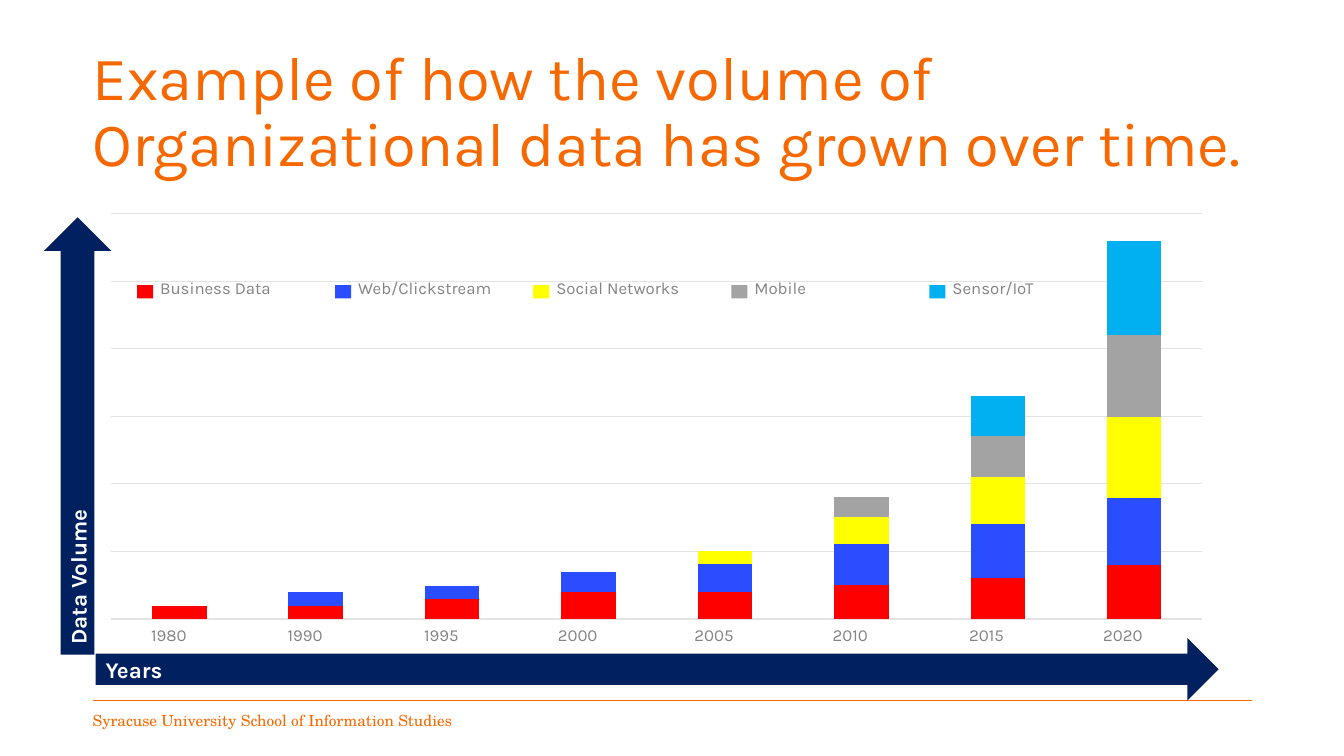
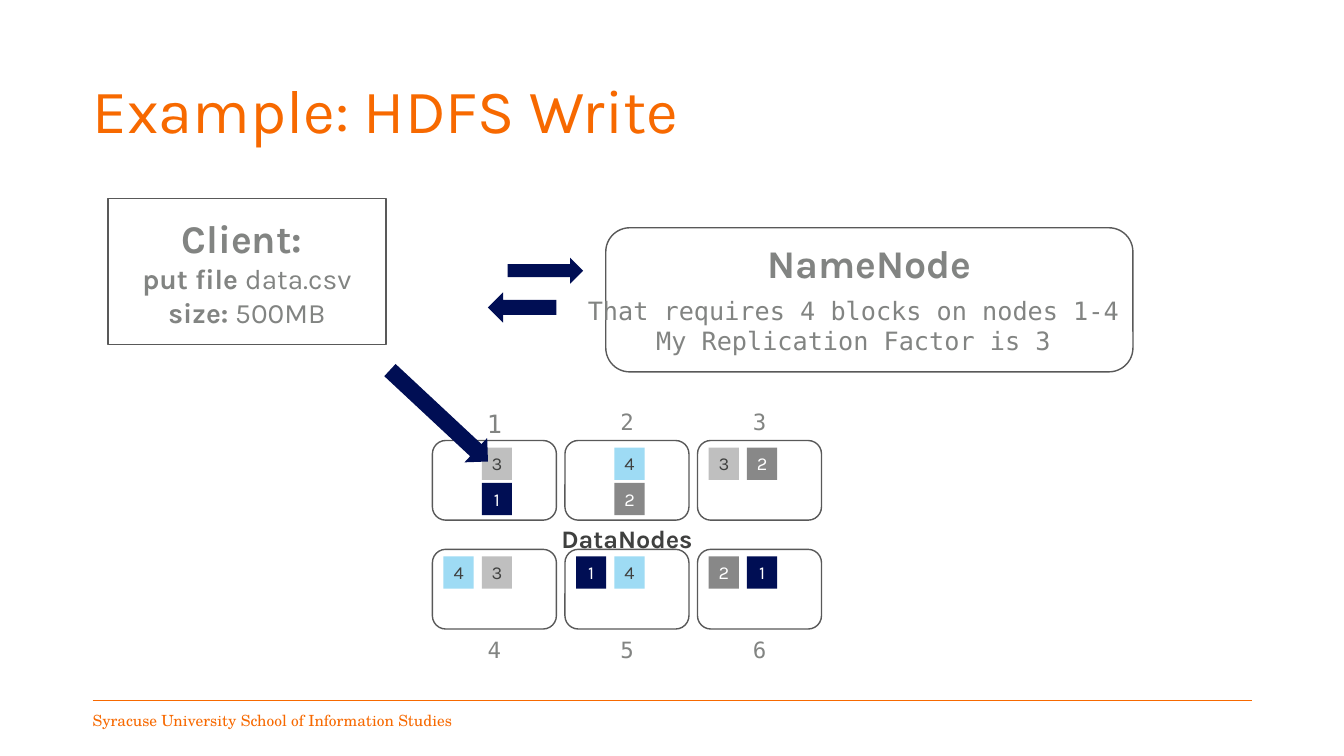
import pptx
import pptx.chart.data
import pptx.dml.color
import pptx.enum.chart
import pptx.enum.shapes
import pptx.enum.text
import pptx.oxml
import pptx.oxml.ns
import pptx.util

CELL = pptx.util.Inches(0.1)
KIND = pptx.enum.shapes.MSO_SHAPE
SIDE = pptx.enum.text.PP_ALIGN
HOLD = pptx.enum.text.MSO_ANCHOR

HUES = {
    "orange": "F76900", "white": "FFFFFF", "gray": "828482", "dark": "3F403F",
    "edge": "595959", "grid": "E2E3E2", "navy": "002060", "ink": "000E54",
    "red": "FF0000", "blue": "2A4EFF", "yellow": "FFFF00", "ash": "A3A3A3",
    "cyan": "00B0F0", "silver": "BFBFBF", "steel": "888888", "sky": "9EDBF4",
}


def grid(*cells):
    return [round(cell * CELL) for cell in cells]


def hue(name):
    return pptx.dml.color.RGBColor.from_string(HUES[name])


class Deck:
    sans, mono, serif = "Karla", "DejaVu Sans Mono", "TeX Gyre Schola"

    def __init__(self):
        self.show = pptx.Presentation()
        self.show.slide_width, self.show.slide_height = grid(133.33, 75)

    def page(self, title):
        self.slide = self.show.slides.add_slide(self.show.slide_layouts[5])
        self.shapes = self.slide.shapes
        self.rule(9.2, 124.2, 69.5, "orange")
        self.text(9.2, 69.5, 40, 4, "Syracuse University School of Information Studies",
                  11, "orange", self.serif, hold=HOLD.MIDDLE, pad=0)
        head = self.shapes.title
        head.left, head.top, head.width, head.height = grid(9.2, 4, 115, 14.5)
        self.label(head.text_frame, title, 44, "orange", hold=HOLD.MIDDLE, pad=0)
        head.text_frame.paragraphs[0].line_spacing = 0.9

    def style(self, font, size, color, face=None, bold=False):
        font.name, font.size, font.bold = face or self.sans, pptx.util.Pt(size), bold
        font.color.rgb = hue(color)

    def label(self, frame, text, size, color, face=None, bold=False,
              side=SIDE.LEFT, hold=HOLD.TOP, pad=1, wrap=True):
        frame.word_wrap = wrap
        frame.auto_size = pptx.enum.text.MSO_AUTO_SIZE.NONE
        frame.vertical_anchor = hold
        frame.margin_left = frame.margin_right = grid(pad)[0]
        frame.margin_top = frame.margin_bottom = grid(0.5)[0]
        frame.text = text
        for para in frame.paragraphs:
            para.alignment = side
            self.style(para.font, size, color, face, bold)

    def text(self, x, y, wide, high, words, size, color="gray", face=None, **look):
        box = self.shapes.add_textbox(*grid(x, y, wide, high))
        self.label(box.text_frame, words, size, color, face, **look)

    def shape(self, kind, x, y, wide, high, fill, edge=None, turn=0):
        form = self.shapes.add_shape(kind, *grid(x, y, wide, high))
        form.shadow.inherit = False
        form.rotation = turn
        form.fill.solid()
        form.fill.fore_color.rgb = hue(fill)
        if edge:
            form.line.color.rgb = hue(edge)
            form.line.width = pptx.util.Pt(1)
        else:
            form.line.fill.background()
        return form

    def rule(self, left, right, y, color):
        line = self.shapes.add_connector(
            pptx.enum.shapes.MSO_CONNECTOR.STRAIGHT, *grid(left, y, right, y))
        line.line.color.rgb = hue(color)
        line.line.width = pptx.util.Pt(0.5)
        props = line._element.spPr
        props.append(props.makeelement(pptx.oxml.ns.qn("a:effectLst"), {}))

    def axis(self, x, y, wide, high, title, turn=0):
        arrow = self.shape(KIND.RIGHT_ARROW, x, y, wide, high, "navy", turn=turn)
        self.label(arrow.text_frame, title, 16, "white", bold=True, hold=HOLD.MIDDLE)

    def block(self, x, y, number, fill, color):
        form = self.shape(KIND.RECTANGLE, x, y, 3, 3.2, fill)
        self.label(form.text_frame, number, 13, color, side=SIDE.CENTER, hold=HOLD.MIDDLE)

    def pairs(self, frame, rows, size, color):
        for key, value in rows:
            para = frame.add_paragraph()
            para.alignment = SIDE.CENTER
            self.style(para.font, size, color)
            for words, bold in ((key, True), (value, False)):
                run = para.add_run()
                run.text, run.font.bold = words, bold

    def chart(self, x, y, wide, high, cats, series, top, step, plot):
        data = pptx.chart.data.CategoryChartData()
        data.categories = cats
        for name, _, values in series:
            data.add_series(name, values)
        chart = self.shapes.add_chart(
            pptx.enum.chart.XL_CHART_TYPE.COLUMN_STACKED,
            *grid(x, y, wide, high), data).chart
        chart.has_legend = chart.has_title = False
        self.style(chart.font, 10, "gray")
        bars = chart.plots[0]
        bars.gap_width, bars.overlap, bars.vary_by_categories = 150, 100, False
        for bar, (_, color, _) in zip(bars.series, series):
            bar.format.fill.solid()
            bar.format.fill.fore_color.rgb = hue(color)
        chart.category_axis.visible = False
        scale = chart.value_axis
        scale.visible = False
        scale.minimum_scale, scale.maximum_scale, scale.major_unit = 0, top, step
        scale.has_major_gridlines = True
        scale.major_gridlines.format.line.color.rgb = hue("grid")
        scale.major_gridlines.format.line.width = pptx.util.Pt(0.75)
        self.fit(chart, plot)

    def fit(self, chart, plot):
        area = chart._chartSpace.chart.plotArea
        for old in area.findall(pptx.oxml.ns.qn("c:layout")):
            area.remove(old)
        modes = '<c:layoutTarget val="inner"/><c:xMode val="edge"/><c:yMode val="edge"/>'
        sizes = "".join(f'<c:{tag} val="{share}"/>' for tag, share in zip("xywh", plot))
        area.insert(0, pptx.oxml.parse_xml(
            f'<c:layout {pptx.oxml.ns.nsdecls("c")}><c:manualLayout>'
            f"{modes}{sizes}</c:manualLayout></c:layout>"))


def growth(deck):
    deck.page("Example of how the volume of Organizational data has grown over time.")
    years = ["1980", "1990", "1995", "2000", "2005", "2010", "2015", "2020"]
    series = [
        ("Business Data", "red", [14, 14, 21, 29, 29, 36, 43, 57]),
        ("Web/Clickstream", "blue", [0, 14, 14, 21, 29, 43, 57, 71]),
        ("Social Networks", "yellow", [0, 0, 0, 0, 14, 29, 50, 86]),
        ("Mobile", "ash", [0, 0, 0, 0, 0, 21, 43, 86]),
        ("Sensor/IoT", "cyan", [0, 0, 0, 0, 0, 0, 43, 100]),
    ]
    deck.chart(9, 19.5, 112.2, 48.3, years, series, 428.58, 71.43,
               (0.018, 0.035, 0.965, 0.833))
    deck.axis(-14, 39.9, 43.4, 6.7, "Data Volume", turn=270)
    deck.axis(9.5, 63.3, 111.4, 6.2, "Years")
    for i, (name, color, _) in enumerate(series):
        x = 13.6 + 19.65 * i
        deck.text(x + 1.3, 27.1, 17.8, 4.2, name, 12)
        deck.shape(KIND.RECTANGLE, x, 28.3, 1.6, 1.3, color)
    for i, year in enumerate(years):
        deck.text(12.25 + 13.52 * i, 61.5, 9, 4.3, year, 12, side=SIDE.CENTER)


def storage(deck):
    deck.page("Example: HDFS Write")
    name = deck.shape(KIND.ROUNDED_RECTANGLE, 60.1, 22.6, 52.3, 14.3, "white", "edge")
    deck.label(name.text_frame, "NameNode", 28, "gray", bold=True, side=SIDE.CENTER)
    deck.text(68.4, 28.8, 32.5, 3.4,
              "That requires 4 blocks on nodes 1-4\vMy Replication Factor is 3",
              18, face=deck.mono, side=SIDE.CENTER, wrap=False)
    client = deck.shape(KIND.RECTANGLE, 10.7, 19.7, 27.6, 14.5, "white", "edge")
    deck.label(client.text_frame, "Client: ", 28, "gray", bold=True,
               side=SIDE.CENTER, hold=HOLD.MIDDLE)
    deck.pairs(client.text_frame, [("put file ", "data.csv"), ("size:", " 500MB")],
               20, "gray")

    looks = {"1": ("ink", "white"), "2": ("steel", "white"),
             "3": ("silver", "dark"), "4": ("sky", "dark")}
    stack = [(4.9, 0.7), (4.9, 4.2)]
    pair = [(1.1, 0.7), (4.9, 0.7)]
    nodes = [("31", stack), ("42", stack), ("32", pair),
             ("43", pair), ("14", pair), ("21", pair)]
    for i, (blocks, spots) in enumerate(nodes):
        row, col = divmod(i, 3)
        x, y = 42.9 + 13.15 * col, 43.7 + 10.8 * row
        deck.shape(KIND.ROUNDED_RECTANGLE, x, y, 12.3, 7.9, "white", "edge")
        deck.text(x, (40, 62.6)[row], 12.3, 4, str(i + 1), 16 if i else 18,
                  face=deck.mono, side=SIDE.CENTER)
        for number, (right, down) in zip(blocks, spots):
            deck.block(x + right, y + down, number, *looks[number])
    deck.text(42.9, 51.4, 38.6, 3.4, "DataNodes", 18, "dark", bold=True,
              side=SIDE.CENTER)

    for x, y, wide, high, turn in [(52.8, 23.1, 2.6, 7.5, 270),
                                   (50.3, 27.1, 3, 6.8, 90),
                                   (41.9, 34.6, 3.3, 13.3, 313)]:
        deck.shape(KIND.DOWN_ARROW, x, y, wide, high, "ink", turn=turn)


def main():
    deck = Deck()
    growth(deck)
    storage(deck)
    deck.show.save("out.pptx")


if __name__ == "__main__":
    main()
